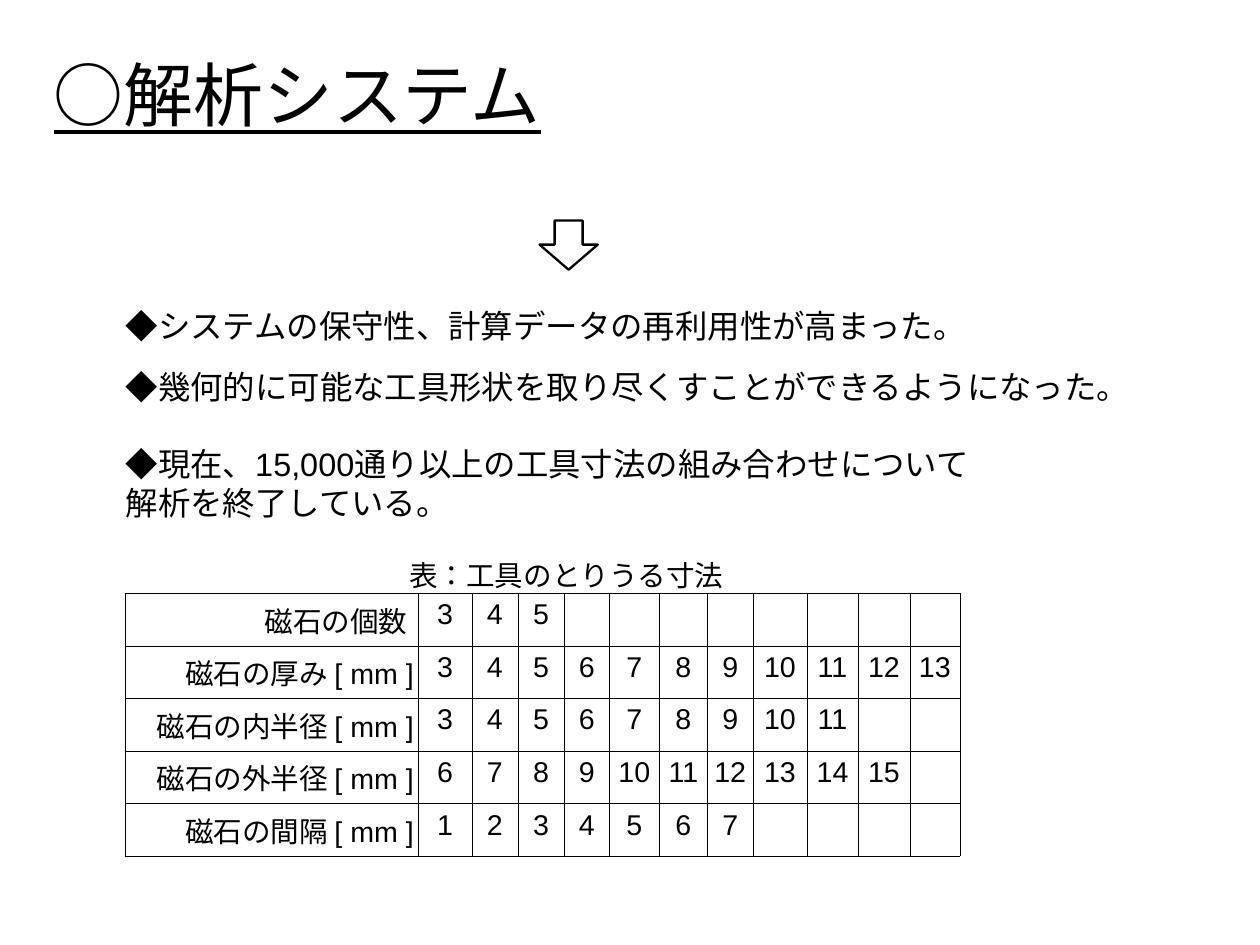
import pptx
import pptx.util
import pptx.dml.color
import pptx.enum.lang
import pptx.enum.shapes
import pptx.enum.text
import pptx.oxml
import pptx.oxml.ns

Inches = pptx.util.Inches
Align = pptx.enum.text.PP_ALIGN
Anchor = pptx.enum.text.MSO_ANCHOR


def color(value):
    return pptx.dml.color.RGBColor.from_string(value)


class SlideWriter:
    font = "Arial"
    ink = "000000"
    border_width = 0.11
    language = pptx.enum.lang.MSO_LANGUAGE_ID.JAPANESE

    def __init__(self, slide):
        self.slide = slide

    def format_paragraph(self, paragraph, size, align):
        paragraph.alignment = align
        for run in paragraph.runs:
            run.font.name = self.font
            run.font.size = pptx.util.Pt(size)
            run.font.bold = False
            run.font.language_id = self.language
            run.font.color.rgb = color(self.ink)

    def text(self, box, lines, size, align=Align.LEFT, anchor=Anchor.TOP, indent=0, gaps=()):
        shape = self.slide.shapes.add_textbox(*map(Inches, box))
        frame = shape.text_frame
        frame.word_wrap = True
        frame.vertical_anchor = anchor
        frame.margin_left = frame.margin_right = frame.margin_top = frame.margin_bottom = 0
        frame.text = "\n".join(lines)
        for paragraph in frame.paragraphs:
            paragraph._p.get_or_add_pPr().set("marL", str(Inches(indent)))
            paragraph._p.get_or_add_pPr().set("indent", "0")
            self.format_paragraph(paragraph, size, align)
        for paragraph, gap in zip(frame.paragraphs, gaps):
            paragraph.space_after = pptx.util.Pt(gap)
        return shape

    def down_arrow(self, box, adjustments, line_width):
        kind = pptx.enum.shapes.MSO_SHAPE.DOWN_ARROW
        shape = self.slide.shapes.add_shape(kind, *map(Inches, box))
        shape.shadow.inherit = False
        shape.fill.background()
        shape.line.color.rgb = color(self.ink)
        shape.line.width = pptx.util.Pt(line_width)
        for index, value in enumerate(adjustments):
            shape.adjustments[index] = value

    def border(self, cell):
        properties = cell._tc.get_or_add_tcPr()
        for index, side in enumerate(("lnL", "lnR", "lnT", "lnB")):
            line = pptx.oxml.parse_xml(
                f'<a:{side} {pptx.oxml.ns.nsdecls("a")} w="{pptx.util.Pt(self.border_width)}">'
                f'<a:solidFill><a:srgbClr val="{self.ink}"/></a:solidFill></a:{side}>'
            )
            properties.insert(index, line)

    def table(self, left, top, widths, row_height, rows, size):
        table = self.slide.shapes.add_table(
            len(rows), len(widths), Inches(left), Inches(top),
            Inches(sum(widths)), Inches(row_height * len(rows)),
        ).table
        table.first_row = table.horz_banding = False
        for column, width in zip(table.columns, widths):
            column.width = Inches(width)
        for row, (label, values) in zip(table.rows, rows):
            row.height = Inches(row_height)
            texts = [label, *map(str, values)]
            for index, cell in enumerate(row.cells):
                cell.margin_left = cell.margin_right = Inches(0.04)
                cell.margin_top = cell.margin_bottom = Inches(0.05)
                cell.fill.background()
                self.border(cell)
                if index < len(texts):
                    cell.text_frame.text = texts[index]
                    align = Align.CENTER if index else Align.RIGHT
                    self.format_paragraph(cell.text_frame.paragraphs[0], size, align)


def main():
    presentation = pptx.Presentation()
    presentation.slide_width = Inches(28 / 2.54)
    presentation.slide_height = Inches(21 / 2.54)
    writer = SlideWriter(presentation.slides.add_slide(presentation.slide_layouts[6]))

    title = writer.text((0.47, 0.13, 9.92, 1.38), ["○解析システム"], 44, anchor=Anchor.MIDDLE)
    title.text_frame.paragraphs[0].runs[0].font.underline = True

    findings = [
        "◆システムの保守性、計算データの再利用性が高まった。",
        "◆幾何的に可能な工具形状を取り尽くすことができるようになった。",
        "◆現在、15,000通り以上の工具寸法の組み合わせについて",
        "解析を終了している。",
    ]
    writer.text((0.63, 2.68, 10.16, 2.05), findings, 20.4, indent=0.47, gaps=(14, 24))
    writer.text((1.73, 4.88, 5.98, 0.55), ["表：工具のとりうる寸法"], 18, Align.CENTER, indent=0.47)

    dimensions = [
        ("磁石の個数 ", range(3, 6)),
        ("磁石の厚み [ mm ]", range(3, 14)),
        ("磁石の内半径 [ mm ]", range(3, 12)),
        ("磁石の外半径 [ mm ]", range(6, 16)),
        ("磁石の間隔 [ mm ]", range(1, 8)),
    ]
    widths = [2.57, 0.47, 0.4, 0.41, 0.39, 0.44, 0.42, 0.4, 0.47, 0.45, 0.45, 0.44]
    writer.table(1.09, 5.19, widths, 0.46, dimensions, 18)
    writer.down_arrow((4.72, 1.93, 0.51, 0.43), (0.48, 0.51), 1.45)

    presentation.save("out.pptx")


if __name__ == "__main__":
    main()
